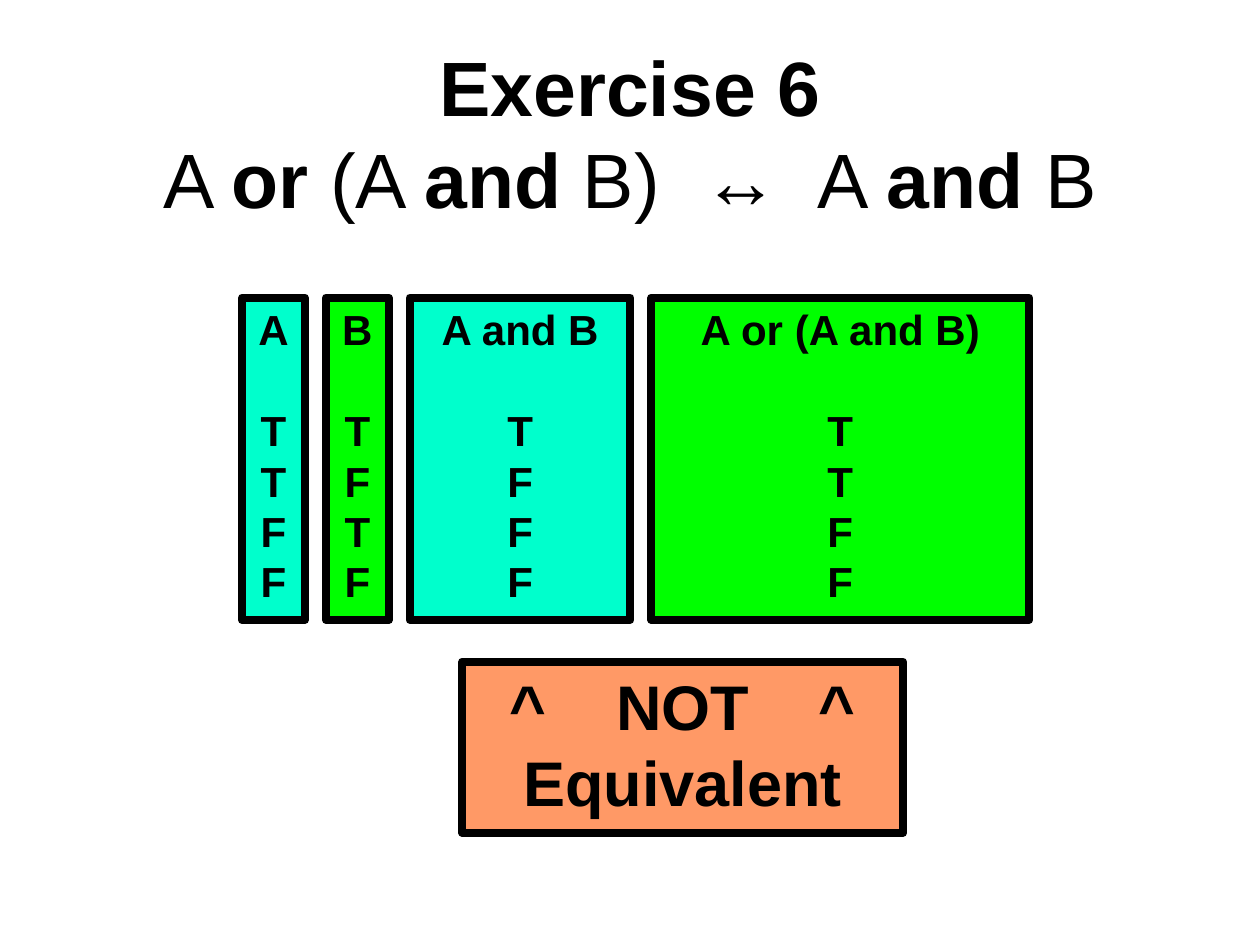
from dataclasses import dataclass

from lxml.etree import SubElement
from pptx import Presentation
from pptx.dml.color import RGBColor
from pptx.enum.shapes import MSO_SHAPE
from pptx.enum.text import MSO_ANCHOR, PP_ALIGN
from pptx.oxml.ns import qn
from pptx.util import Cm, Pt

BLACK, AQUA, GREEN, ORANGE = "000000", "00FFCC", "00FF00", "FF9966"
LEFT, TOP, TALL, GAP = 4.88, 6.0, 6.5, 0.42


@dataclass
class Column:
    head: str
    marks: str
    width: float
    fill: str


COLUMNS = [
    Column("A", "TTFF", 1.27, AQUA),
    Column("B", "TFTF", 1.27, GREEN),
    Column("A and B", "TFFF", 4.45, AQUA),
    Column("A or (A and B)", "TTFF", 7.62, GREEN),
]


def color(code: str) -> RGBColor:
    return RGBColor.from_string(code)


def style(para, size: float, align=PP_ALIGN.CENTER) -> None:
    para.alignment = align
    font = para.font
    font.name, font.size, font.bold = "Arial", Pt(size), True
    font.color.rgb = color(BLACK)


def add_box(slide, left: float, top: float, width: float, height: float, fill: str):
    """Draw a framed box and return its text frame."""
    box = slide.shapes.add_shape(
        MSO_SHAPE.RECTANGLE, Cm(left), Cm(top), Cm(width), Cm(height))
    box.shadow.inherit = False
    box.fill.solid()
    box.fill.fore_color.rgb = color(fill)
    box.line.color.rgb = color(BLACK)
    box.line.width = Pt(4.5)
    frame = box.text_frame
    frame.word_wrap = True
    frame.vertical_anchor = MSO_ANCHOR.TOP
    return frame


def add_column(slide, left: float, col: Column) -> None:
    frame = add_box(slide, left, TOP, col.width, TALL, col.fill)
    frame.text = "\n".join([col.head, *col.marks])
    for para in frame.paragraphs:
        style(para, 24)
    frame.paragraphs[0].space_after = Pt(28.8)


def add_tabs(para, stops: list[float]) -> None:
    """Add centred tab stops, given in centimetres."""
    tabs = SubElement(para._p.get_or_add_pPr(), qn("a:tabLst"))
    for stop in stops:
        SubElement(tabs, qn("a:tab"), pos=str(int(Cm(stop))), algn="ctr")


def add_title(slide) -> None:
    title = slide.shapes.title
    title.left, title.top = Cm(0), Cm(1.07)
    title.width, title.height = Cm(25.4), Cm(3.17)
    frame = title.text_frame
    frame.word_wrap = True
    frame.vertical_anchor = MSO_ANCHOR.MIDDLE
    para = frame.paragraphs[0]
    style(para, 44)
    para.add_run().text = "Exercise 6"
    para.add_line_break()
    # Operators are bold, operands are not
    parts = ["A ", "or ", "(A ", "and ", "B)  ↔  A ", "and ", "B"]
    for part in parts:
        run = para.add_run()
        run.text = part
        run.font.bold = part in ("or ", "and ")


def main() -> None:
    deck = Presentation()
    deck.slide_width, deck.slide_height = Cm(25.4), Cm(19.05)
    slide = deck.slides.add_slide(deck.slide_layouts[5])
    add_title(slide)

    # Truth table columns
    left = LEFT
    for col in COLUMNS:
        add_column(slide, left, col)
        left += col.width + GAP

    # Verdict, its carets pointing at the last two columns
    frame = add_box(slide, 9.32, 13.34, 8.89, 3.45, ORANGE)
    frame.text = "\t^\tNOT\t^\nEquivalent"
    carets, word = frame.paragraphs
    add_tabs(carets, [1.07, 4.19, 7.31])
    style(carets, 36, PP_ALIGN.LEFT)
    style(word, 36)

    deck.save("out.pptx")


if __name__ == "__main__":
    main()
